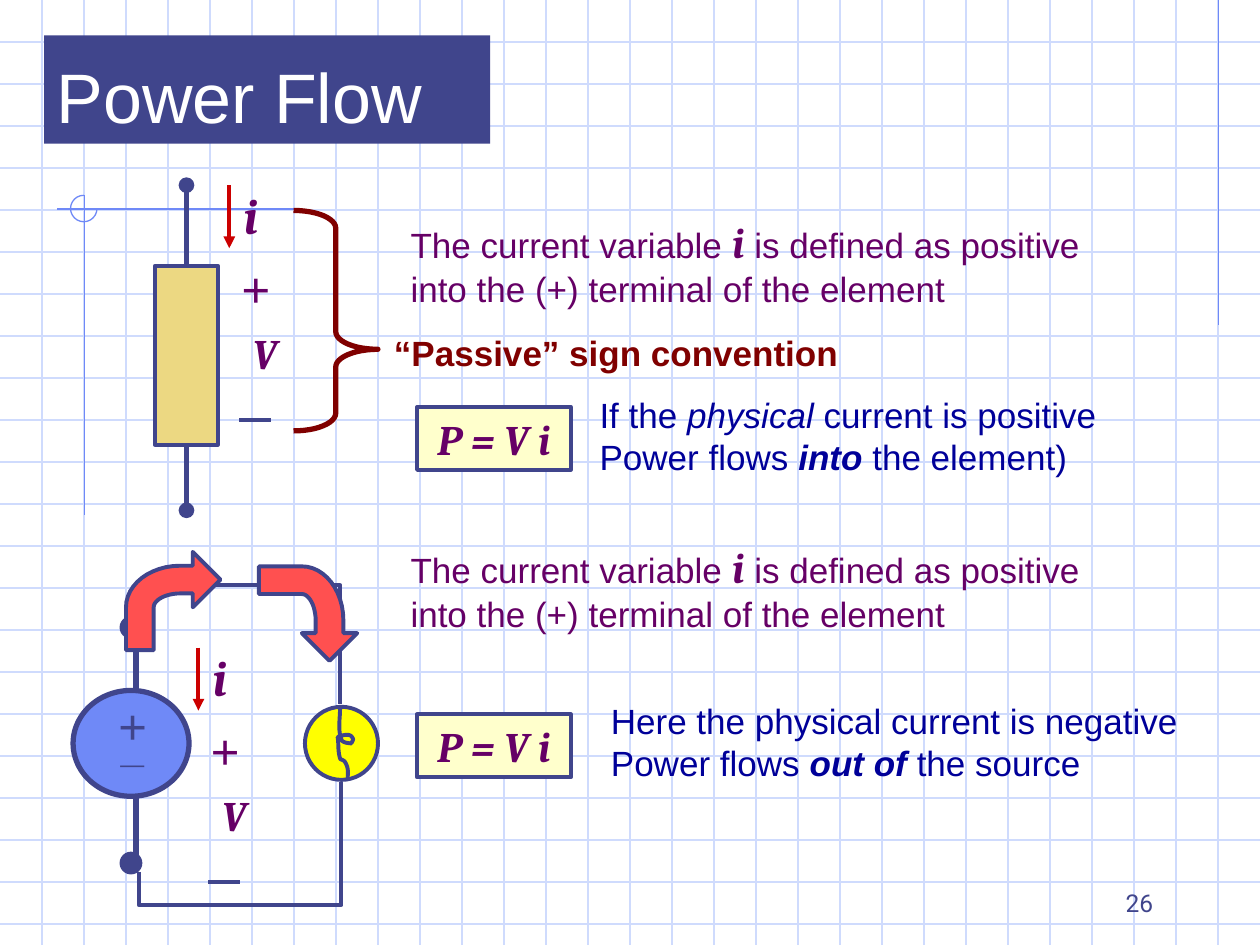
import pptx
import pptx.dml.color
import pptx.enum.shapes
import pptx.enum.text
import pptx.oxml.ns
import pptx.util
import lxml.etree

SHAPE = pptx.enum.shapes.MSO_SHAPE
CONNECTOR = pptx.enum.shapes.MSO_CONNECTOR
ALIGN = pptx.enum.text.PP_ALIGN
ANCHOR = pptx.enum.text.MSO_ANCHOR
qn = pptx.oxml.ns.qn

COLORS = {
    "grid": "CFDBFD", "accent": "6F89F7", "navy": "40458C", "white": "FFFFFF",
    "tan": "ECD882", "cream": "FFFFCC", "yellow": "FFFF00", "coral": "FF5050",
    "red": "CC0000", "maroon": "800000", "purple": "660066", "blue": "000099",
}
RGB = {name: pptx.dml.color.RGBColor.from_string(value) for name, value in COLORS.items()}

# size, font, colour, bold, italic
STYLES = {
    "title": (40, "Arial", "white", False, False),
    "number": (14, "Roboto", "navy", False, False),
    "plus": (28, "Arial", "purple", False, False),
    "source plus": (28, "Arial", "navy", False, False),
    "source minus": (24, "Arial", "navy", True, False),
    "current": (28, "Cambria", "purple", True, True),
    "variable": (24, "Cambria", "purple", True, True),
    "definition": (20, "Arial", "purple", False, False),
    "convention": (20, "Arial", "maroon", True, False),
    "note": (20, "Arial", "blue", False, False),
    "note italic": (20, "Arial", "blue", False, True),
    "note strong": (20, "Arial", "blue", True, True),
}

presentation = pptx.Presentation()
presentation.slide_width = pptx.util.Inches(10)
presentation.slide_height = pptx.util.Inches(7.5)
slide = presentation.slides.add_slide(presentation.slide_layouts[5])
shapes = slide.shapes

# The slide is laid out on 100 columns and 75 rows of square cells.
COLUMNS, ROWS = 100, 75
CELL = presentation.slide_width // COLUMNS


def draw_line(start, end, color, width, head=None, tail=None, kind=CONNECTOR.STRAIGHT):
    connector = shapes.add_connector(kind, *(round(n * CELL) for n in (*start, *end)))
    connector.line.color.rgb = RGB[color]
    connector.line.width = pptx.util.Pt(width)
    properties = connector._element.spPr
    for tag, arrow in (("a:headEnd", head), ("a:tailEnd", tail)):
        if arrow:
            lxml.etree.SubElement(properties.find(qn("a:ln")), qn(tag), type=arrow)
    lxml.etree.SubElement(properties, qn("a:effectLst"))
    return connector


def write_text(shape, paragraphs, align=ALIGN.LEFT, anchor=ANCHOR.TOP):
    """Fill a shape with paragraphs, each a list of (text, style) runs."""
    frame = shape.text_frame
    frame.word_wrap = align != ALIGN.CENTER
    frame.vertical_anchor = anchor
    for index, runs in enumerate(paragraphs):
        paragraph = frame.add_paragraph() if index else frame.paragraphs[0]
        paragraph.alignment = align
        for text, style in runs:
            if text == "\n":
                paragraph.add_line_break()
                continue
            run = paragraph.add_run()
            run.text = text
            size, run.font.name, color, run.font.bold, run.font.italic = STYLES[style]
            run.font.size = pptx.util.Pt(size)
            run.font.color.rgb = RGB[color]


# Squared paper, three squares to every ten cells
SQUARE = 10 / 3
for number in range(1, 23):
    draw_line((0, number * SQUARE), (COLUMNS, number * SQUARE), "grid", 0.75)
for number in range(1, 30):
    draw_line((number * SQUARE, 0), (number * SQUARE, ROWS), "grid", 0.75)
for start, end in [((96.7, 0), (96.7, 25.8)), ((24, 16.6), (4.5, 16.6)), ((6.7, 15.5), (6.7, 40.9))]:
    draw_line(start, end, "accent", 0.75)

# Title
title = shapes.title
title.left, title.top, title.width, title.height = (round(n * CELL) for n in (3.5, 2.8, 35.4, 8.6))
title.fill.solid()
title.fill.fore_color.rgb = RGB["navy"]
write_text(title, [[("Power Flow", "title")]], anchor=ANCHOR.BOTTOM)
shapes._spTree.append(title._element)

# Wires
draw_line((14.8, 14.7), (14.8, 40.5), "navy", 3, "oval", "oval")
draw_line((10.8, 54.8), (10.8, 50), "navy", 3)
draw_line((10.8, 68), (10.8, 63.2), "navy", 3)
for start, end, degrees, bend in [
    ((22.4, 44.5), (15.6, 60.5), 270, -38900),
    ((22.6, 73.7), (15.5, 57.6), 90, -37100),
]:
    wire = draw_line(start, end, "navy", 2.25, kind=CONNECTOR.ELBOW)
    properties = wire._element.spPr
    properties.find(qn("a:xfrm")).set("rot", str(degrees * 60000))
    geometry = properties.find(qn("a:prstGeom"))
    adjustments = geometry.find(qn("a:avLst"))
    if adjustments is None:
        adjustments = lxml.etree.SubElement(geometry, qn("a:avLst"))
    lxml.etree.SubElement(adjustments, qn("a:gd"), name="adj1", fmla=f"val {bend}")

# Preset shapes: kind, box, fill, line, line width, adjustments, text
formula = [[("P = V i", "variable")]]
for kind, box, fill, line, width, adjustments, text in [
    (SHAPE.ARC, (5.6, 15.5, 2.1, 2.1), None, "accent", 0.75, (0, 162), None),
    (SHAPE.RECTANGLE, (12.3, 21.1, 5, 14.2), "tan", "navy", 2.25, (), None),
    (SHAPE.RIGHT_BRACE, (23.3, 16.7, 6.7, 17.5), None, "maroon", 3, (0.21, 0.63), None),
    (SHAPE.OVAL, (9.6, 67.7, 1.6, 1.6), "navy", "navy", 1.5, (), None),
    (SHAPE.OVAL, (9.6, 49, 1.6, 1.6), "navy", "navy", 1.5, (), None),
    (SHAPE.OVAL, (5.8, 54.8, 9.2, 8.4), "accent", "navy", 3, (), None),
    (SHAPE.OVAL, (24.2, 56.1, 5.8, 5.8), "yellow", "navy", 2.25, (), None),
    (SHAPE.RECTANGLE, (33.1, 32.3, 12.2, 5), "cream", "navy", 2.25, (), formula),
    (SHAPE.RECTANGLE, (33.1, 56.7, 12.2, 5), "cream", "navy", 2.25, (), formula),
]:
    shape = shapes.add_shape(kind, *(round(n * CELL) for n in box))
    shape.shadow.inherit = False
    for index, value in enumerate(adjustments):
        shape.adjustments[index] = value
    if fill:
        shape.fill.solid()
        shape.fill.fore_color.rgb = RGB[fill]
    else:
        shape.fill.background()
    shape.line.color.rgb = RGB[line]
    shape.line.width = pptx.util.Pt(width)
    if text:
        write_text(shape, text, ALIGN.CENTER)

# Curved outlines: a pair is a straight step, six numbers are a Bezier step
filament = [(27, 56.1), (27, 57, 26.8, 57.9, 27.1, 58.7), (27.2, 59, 27.9, 59, 27.9, 59),
            (27.9, 58.9, 28.1, 58.7, 28, 58.6), (27.8, 58.1, 27.1, 58.4, 26.8, 58.5),
            (26.9, 59, 26.8, 59.6, 27, 60.2), (27, 60.3, 27.3, 60.3, 27.4, 60.5),
            (27.7, 61, 27.6, 61.3, 27.6, 61.9)]
flow_arrow = [(17.5, 46), (15.3, 43.8), (15.3, 44.9), (14.3, 44.9),
              (11.9, 44.9, 10, 46.4, 10, 48.2), (10, 51.6), (12.2, 51.6), (12.2, 48.2),
              (12.2, 47.6, 13.2, 47.1, 14.3, 47.1), (15.3, 47.1), (15.3, 48.2)]
CURVE_STEPS = 12
for outline, fill, closed, corner, degrees in [
    (filament, "yellow", False, (26.8, 56.1), 0),
    (flow_arrow, "coral", True, (20.7, 44.8), 90),
    (flow_arrow, "coral", True, (10, 43.8), 0),
]:
    points = [outline[0]]
    for step in outline[1:]:
        if len(step) == 2:
            points.append(step)
            continue
        controls = [points[-1], step[:2], step[2:4], step[4:]]
        for number in range(1, CURVE_STEPS + 1):
            t = number / CURVE_STEPS
            weights = ((1 - t) ** 3, 3 * t * (1 - t) ** 2, 3 * t * t * (1 - t), t ** 3)
            points.append(tuple(sum(w * p[axis] for w, p in zip(weights, controls)) for axis in (0, 1)))
    points = [(round(x * CELL), round(y * CELL)) for x, y in points]
    builder = shapes.build_freeform(*points[0])
    builder.add_line_segments(points[1:], close=closed)
    shape = builder.convert_to_shape()
    shape.left, shape.top = (round(n * CELL) for n in corner)
    shape.rotation = degrees
    shape.shadow.inherit = False
    shape.fill.solid()
    shape.fill.fore_color.rgb = RGB[fill]
    shape.line.color.rgb = RGB["navy"]
    shape.line.width = pptx.util.Pt(2.25)

# Text boxes: box, paragraphs, alignment, anchor
definition = [[("The current variable ", "definition"), ("i", "variable"),
               (" is defined as positive ", "definition"), ("\n", None),
               ("into the (+) terminal of the element", "definition")]]
texts = [
    ((71.7, 68.3, 20.8, 5), [[("26", "number")]], ALIGN.RIGHT, ANCHOR.BOTTOM),
    ((31.6, 16.7, 56.1, 8.4), definition, ALIGN.LEFT, ANCHOR.TOP),
    ((31.6, 42.5, 56.1, 8.4), definition, ALIGN.LEFT, ANCHOR.TOP),
    ((28.8, 25.8, 40.2, 4.4), [[("“Passive” sign convention", "convention")]], ALIGN.CENTER, ANCHOR.TOP),
    ((46.6, 30.7, 42.2, 7.7),
     [[("If the ", "note"), ("physical ", "note italic"), ("current is positive", "note")],
      [("Power flows ", "note"), ("into", "note strong"), (" the element)", "note")]], ALIGN.LEFT, ANCHOR.TOP),
    ((47.5, 55, 47.5, 7.7),
     [[("Here the physical current is negative", "note")],
      [("Power flows ", "note"), ("out of", "note strong"), (" the source", "note")]], ALIGN.LEFT, ANCHOR.TOP),
    ((8.4, 54.7, 4.2, 5.7), [[("+", "source plus")]], ALIGN.LEFT, ANCHOR.TOP),
    ((8.6, 56.7, 3.8, 5), [[("_", "source minus")]], ALIGN.LEFT, ANCHOR.TOP),
]

# Current and voltage marks, the same beside the resistor and the source
for x, y in [(18.2, 14.7), (15.75, 51.4)]:
    draw_line((x, y), (x, y + 5), "red", 2.25, tail="triangle")
    draw_line((x + 0.8, y + 18.6), (x + 3.3, y + 18.6), "navy", 2.25)
    for text, style, down, right, width, height in [
        ("i", "current", -0.5, 0, 3.4, 5.7),
        ("+", "plus", 5.3, 0, 4.2, 5.7),
        ("V", "variable", 10.8, 0.7, 4.3, 5),
    ]:
        texts.append(((x + right, y + down, width, height), [[(text, style)]], ALIGN.CENTER, ANCHOR.TOP))

for box, paragraphs, align, anchor in texts:
    write_text(shapes.add_textbox(*(round(n * CELL) for n in box)), paragraphs, align, anchor)

presentation.save("out.pptx")
